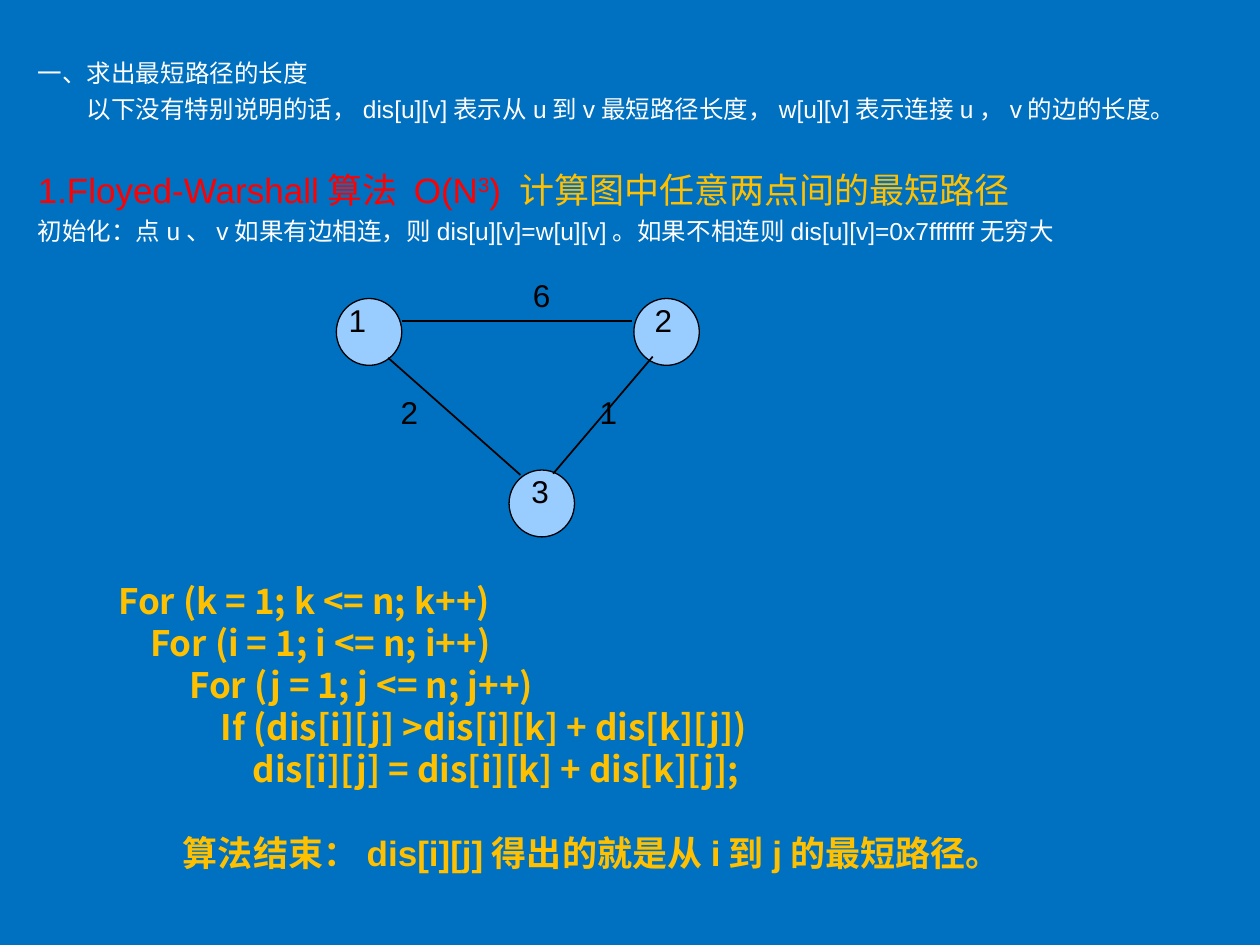
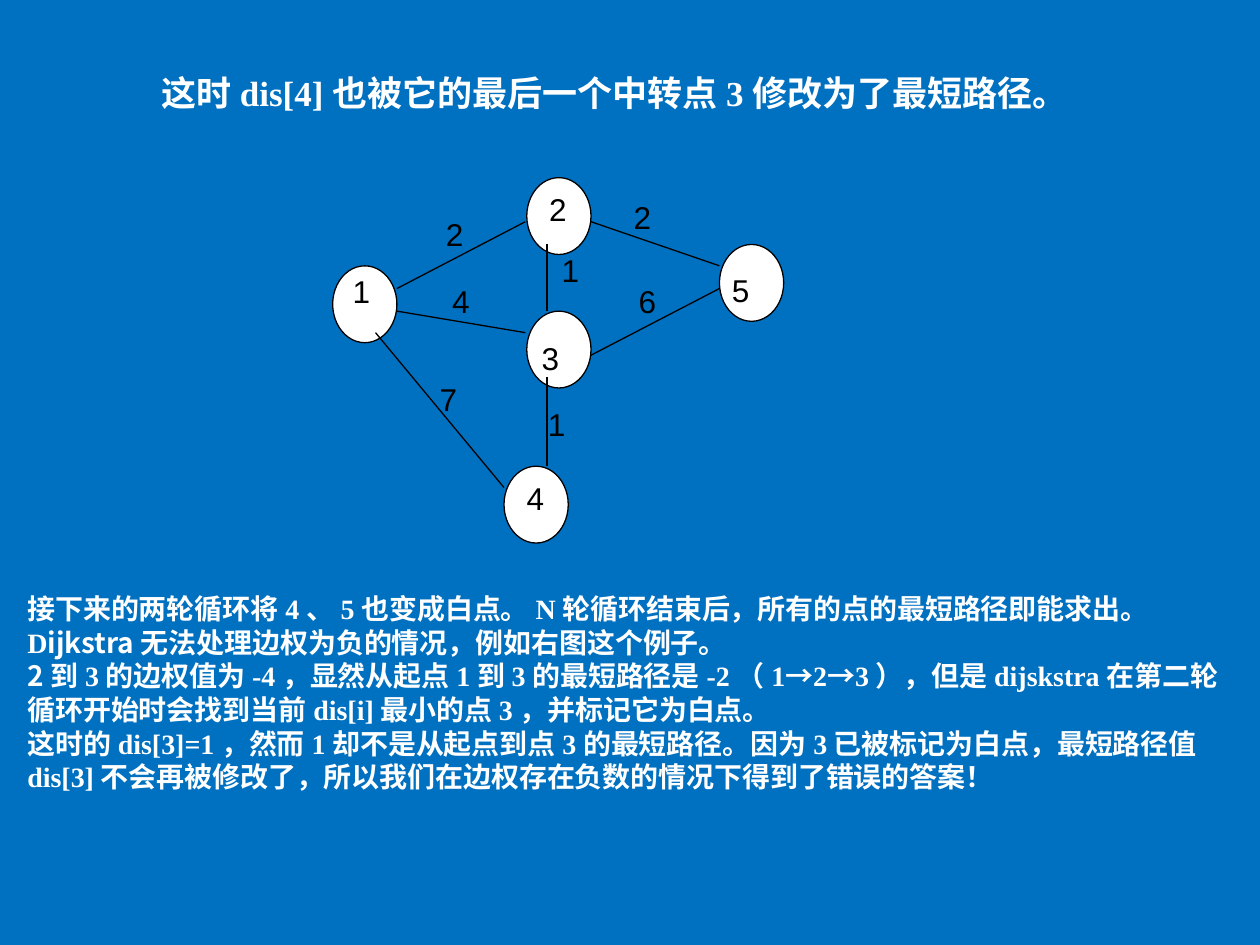
from lxml import etree
from pptx import Presentation
from pptx import util as u
from pptx.dml.color import RGBColor
from pptx.enum import shapes, text
from pptx.oxml.ns import qn

WHITE, BLACK, GOLD, RED = "FFFFFF", "000000", "FFC000", "FF0000"
BACKGROUND, LIGHT_BLUE = "0070C0", "99CCFF"
CHINESE, SANS, SERIF = "Noto Sans CJK SC", "Arial", "Times New Roman"
LABEL_SIZE = (37, 45)

FLOYD_INTRO = [
    dict(runs=[("一、求出最短路径的长度", {})]),
    dict(runs=[("以下没有特别说明的话，dis[u][v]表示从u到v最短路径长度，w[u][v]表示连接u，v的边的长度。", {})],
         before=3.5, first=28),
    dict(runs=[("1.Floyed-Warshall算法 O(N", dict(size=20, color=RED)),
               ("3", dict(size=20, color=RED, baseline=30000)),
               (") ", dict(size=20, color=RED)),
               ("计算图中任意两点间的最短路径", dict(size=20, color=GOLD))], before=25.6),
    dict(runs=[("初始化：点u、v如果有边相连，则dis[u][v]=w[u][v]。如果不相连则dis[u][v]=0x7fffffff无穷大", {})],
         before=3.5),
]
FLOYD_CODE = [
    "For (k = 1; k <= n; k++)",
    "    For (i = 1; i <= n; i++)",
    "\t For (j = 1; j <= n; j++)",
    "\t     If (dis[i][j] >dis[i][k] + dis[k][j])",
    "\t         dis[i][j] = dis[i][k] + dis[k][j];",
]
FLOYD_RESULT = "算法结束：dis[i][j]得出的就是从i到j的最短路径。"
FLOYD_GRAPH = dict(
    origin=(180, 150), node_size=(37.4, 38.2), fill=LIGHT_BLUE, edge_width=1,
    nodes=[(12.2, 20.6), (182.2, 20.6), (110.9, 118.6)],
    edges=[(49.7, 33.6, 181.4, 33.6), (41.8, 54.5, 117.4, 121.4), (136.1, 120.7, 193, 53.8)],
    labels=[("1", 12.1, 18.5), ("2", 187, 18.5), ("3", 116.5, 116.4),
            ("2", 41.8, 71), ("1", 155.5, 71), ("6", 117.4, 4.1)],
)

DIJKSTRA_TITLE = "这时|dis[4]|也被它的最后一个中转点|3|修改为了最短路径。"
DIJKSTRA_NOTES = [
    "接下来的两轮循环将|4|、|5|也变成白点。|N|轮循环结束后，所有的点的最短路径即能求出。",
    "|D|ijkstra无法处理边权为负的情况，例如右图这个例子。",
    "2到|3|的边权值为|-4|，显然从起点|1|到|3|的最短路径是|-2|（|1|→|2|→|3|），但是|dijskstra"
    "|在第二轮循环开始时会找到当前|dis[i]|最小的点|3|，并标记它为白点。",
    "这时的|dis[3]=1|，然而|1|却不是从起点到点|3|的最短路径。因为|3|已被标记为白点，最短路径值"
    "|dis[3]|不会再被修改了，所以我们在边权存在负数的情况下得到了错误的答案！",
]
DIJKSTRA_GRAPH = dict(
    origin=(180, 100), node_size=(36.7, 43.9), fill=WHITE, edge_width=0.75,
    nodes=[(10.1, 51.9), (121, 1.5), (108, 166.4), (121, 77.8), (231.1, 39.7)],
    edges=[(46.8, 64.9, 120.2, 26.7), (34.6, 90.1, 108, 178.6), (46.8, 77.8, 120.2, 90.1),
           (132.5, 39.7, 132.5, 77.8), (132.5, 115.3, 132.5, 166.4),
           (157.7, 103, 231.1, 64.9), (157.7, 26.7, 231.1, 51.9)],
    labels=[("1", 14.4, 51.9), ("2", 126.7, 5.1), ("3", 122.4, 90.1), ("4", 113.8, 170),
            ("5", 231.1, 51.2), ("2", 67.7, 19.5), ("4", 71.3, 57.7), ("7", 64.1, 113.8),
            ("1", 133.9, 39.7), ("1", 126, 128.2), ("6", 177.8, 57.7), ("2", 175, 9.4)],
)


def rgb(color):
    """Turn a hex string into a colour."""
    return RGBColor.from_string(color)


def set_attributes(target, values):
    """Set every named value on the target."""
    for name, value in values.items():
        setattr(target, name, value)


def add_run(paragraph, words, size, color, font=SANS, bold=False, baseline=None):
    """Add a run with Latin and Chinese fonts."""
    run = paragraph.add_run()
    run.text = words
    set_attributes(run.font, dict(name=font, size=u.Pt(size), bold=bold))
    run.font.color.rgb = rgb(color)
    properties = run._r.get_or_add_rPr()
    etree.SubElement(properties, qn("a:ea"), typeface=CHINESE)
    if baseline:
        properties.set("baseline", str(baseline))


def format_paragraph(paragraph, before=0, left=0, first=0, tab=None):
    """Set spacing and indents, without a bullet."""
    properties = paragraph._p.get_or_add_pPr()
    properties.set("marL", str(u.Pt(left)))
    properties.set("indent", str(u.Pt(first)))
    etree.SubElement(properties, qn("a:buNone"))
    if tab:
        stops = etree.SubElement(properties, qn("a:tabLst"))
        etree.SubElement(stops, qn("a:tab"), pos=str(u.Pt(tab)), algn="l")
    set_attributes(paragraph, dict(space_before=u.Pt(before), space_after=u.Pt(0),
                                   line_spacing=1.0, alignment=text.PP_ALIGN.LEFT))


def fill_text(shape, box, paragraphs, style, top_inset=3.6):
    """Place a text shape and write its paragraphs."""
    set_attributes(shape, dict(zip(("left", "top", "width", "height"), map(u.Pt, box))))
    frame = shape.text_frame
    set_attributes(frame, dict(
        word_wrap=True, auto_size=text.MSO_AUTO_SIZE.NONE, vertical_anchor=text.MSO_ANCHOR.TOP,
        margin_left=u.Pt(7.2), margin_right=u.Pt(7.2),
        margin_top=u.Pt(top_inset), margin_bottom=u.Pt(3.6)))
    for index, layout in enumerate(paragraphs):
        paragraph = frame.add_paragraph() if index else frame.paragraphs[0]
        format_paragraph(paragraph, **{key: value for key, value in layout.items() if key != "runs"})
        for words, changes in layout["runs"]:
            add_run(paragraph, words, **{**style, **changes})


def add_text(slide, box, paragraphs, style, top_inset=3.6):
    """Add a text box with paragraphs."""
    shape = slide.shapes.add_textbox(*map(u.Pt, box))
    fill_text(shape, box, paragraphs, style, top_inset)


def mixed(line):
    """Split a line at bars into Chinese and serif runs in turn."""
    return dict(runs=[(words, dict(font=(CHINESE, SERIF)[index % 2]))
                      for index, words in enumerate(line.split("|")) if words])


def draw_graph(slide, origin, node_size, fill, edge_width, nodes, edges, labels):
    """Draw nodes, edges and labels relative to the origin."""
    left, top = origin
    for x, y in nodes:
        node = slide.shapes.add_shape(shapes.MSO_SHAPE.OVAL, u.Pt(left + x), u.Pt(top + y),
                                      *map(u.Pt, node_size))
        node.shadow.inherit = False
        node.fill.solid()
        node.fill.fore_color.rgb = rgb(fill)
        node.line.color.rgb = rgb(BLACK)
        node.line.width = u.Pt(0.75)
    for x1, y1, x2, y2 in edges:
        edge = slide.shapes.add_connector(
            shapes.MSO_CONNECTOR.STRAIGHT, u.Pt(left + x1), u.Pt(top + y1),
            u.Pt(left + x2), u.Pt(top + y2))
        edge.line.color.rgb = rgb(BLACK)
        edge.line.width = u.Pt(edge_width)
        etree.SubElement(edge._element.spPr, qn("a:effectLst"))
    for words, x, y in labels:
        add_text(slide, (left + x, top + y, *LABEL_SIZE), [dict(runs=[(words, {})])],
                 dict(size=18, color=BLACK))


def floyd_slide(presentation):
    """Build the slide on all-pairs shortest paths."""
    slide = presentation.slides.add_slide(presentation.slide_layouts[1])
    title = slide.shapes.title._element
    title.getparent().remove(title)
    fill_text(slide.placeholders[1], (14.4, 9.4, 697.7, 521.3), FLOYD_INTRO,
              dict(size=14, color=WHITE), top_inset=24)
    draw_graph(slide, **FLOYD_GRAPH)
    code = [dict(runs=[(line, {})], tab=72) for line in FLOYD_CODE]
    result = dict(runs=[(FLOYD_RESULT, dict(font=SANS))], before=24, left=37)
    add_text(slide, (60.5, 327.6, 602.6, 175.7), code + [result],
             dict(size=20, color=GOLD, font=CHINESE, bold=True))


def dijkstra_slide(presentation):
    """Build the slide on the limits of Dijkstra."""
    slide = presentation.slides.add_slide(presentation.slide_layouts[5])
    fill_text(slide.shapes.title, (85, 37.4, 575.3, 31.7), [mixed(DIJKSTRA_TITLE)],
              dict(size=20, color=WHITE, bold=True))
    add_text(slide, (8.6, 315.4, 703.4, 141.8), [mixed(line) for line in DIJKSTRA_NOTES],
             dict(size=16, color=WHITE, bold=True), top_inset=22.8)
    draw_graph(slide, **DIJKSTRA_GRAPH)


def main():
    """Build and save both slides."""
    presentation = Presentation()
    set_attributes(presentation, dict(slide_width=u.Pt(720), slide_height=u.Pt(540)))
    background = presentation.slide_master.background.fill
    background.solid()
    background.fore_color.rgb = rgb(BACKGROUND)
    floyd_slide(presentation)
    dijkstra_slide(presentation)
    presentation.save("out.pptx")


if __name__ == "__main__":
    main()
